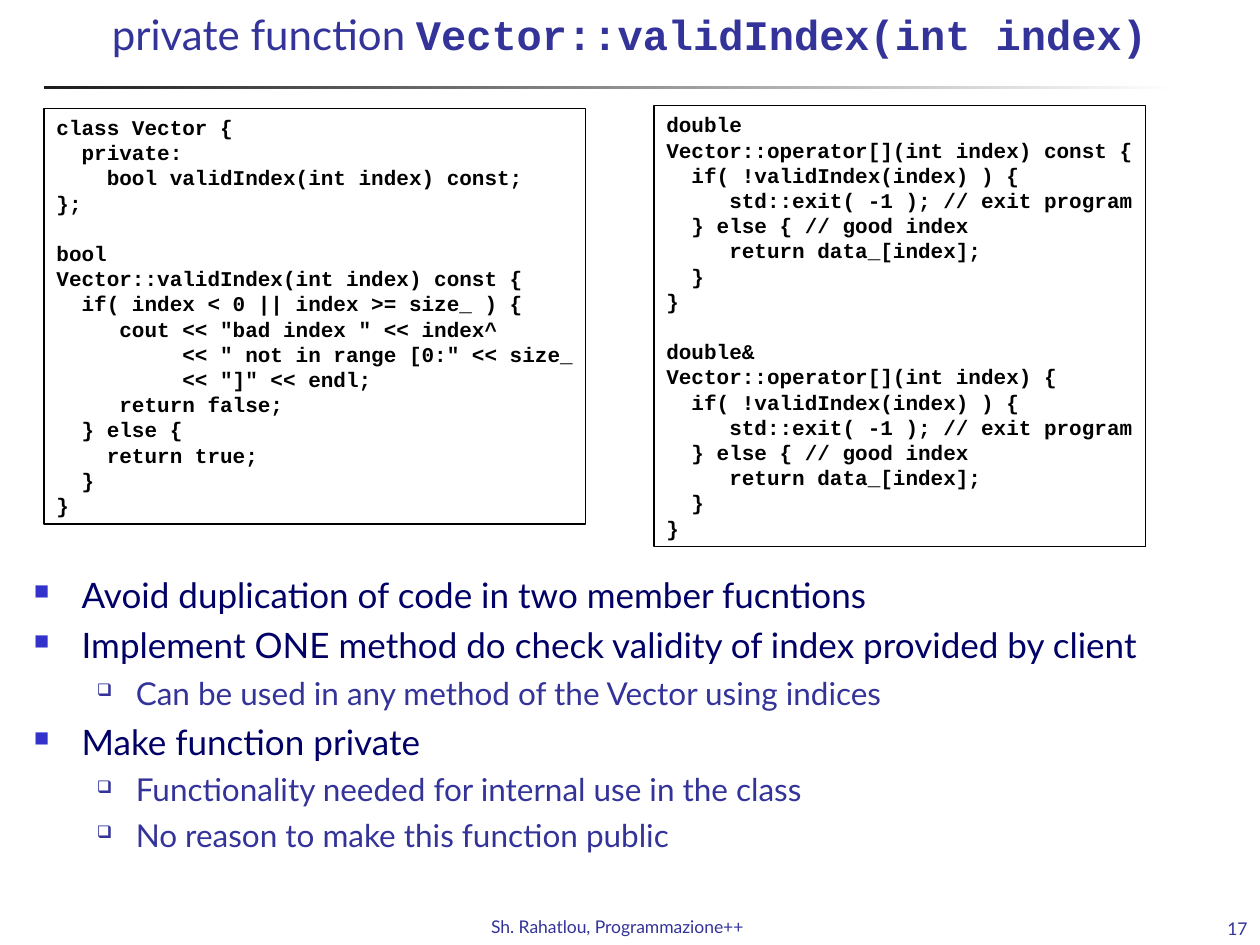
import pptx
import pptx.dml.color
import pptx.enum.shapes
import pptx.enum.text
import pptx.oxml.ns
import pptx.util
from lxml import etree
from pptx.util import Inches

COLORS = {
    "title": "333399",
    "point": "000066",
    "point_bullet": "3333CC",
    "detail": "333399",
    "code": "000000",
    "rule_start": "1C1C1C",
    "rule_end": "FFFFFF",
}
BODY_FONT, CODE_FONT = "Lato", "Courier New"
CODE_LINE, CODE_CHAR = 0.2, 0.1  # height and width of a code character, inches

# Code listings: blocks are set one empty line apart
CLASS_BLOCKS = [
    """class Vector {
  private:
    bool validIndex(int index) const;
};""",
    """bool
Vector::validIndex(int index) const {
  if( index < 0 || index >= size_ ) {
     cout << "bad index " << index^
          << " not in range [0:" << size_
          << "]" << endl;
     return false;
  } else {
    return true;
  }
}""",
]
OPERATOR_BODY = """
  if( !validIndex(index) ) {
     std::exit( -1 ); // exit program
  } else { // good index
     return data_[index];
  }
}"""
OPERATOR_BLOCKS = [
    "double\nVector::operator[](int index) const {" + OPERATOR_BODY,
    "double&\nVector::operator[](int index) {" + OPERATOR_BODY,
]

# Bullet list: (level, text)
POINTS = [
    (0, "Avoid duplication of code in two member fucntions"),
    (0, "Implement ONE method do check validity of index provided by client"),
    (1, "Can be used in any method of the Vector using indices"),
    (0, "Make function private"),
    (1, "Functionality needed for internal use in the class"),
    (1, "No reason to make this function public"),
]
# Per level: text colour, size, space before, margin, hanging, bullet, colour, percent
LEVELS = [
    ("point", 20, 5, 0.38, 0.38, "■", "point_bullet", 60),
    ("detail", 18, 4.5, 0.81, 0.31, "❑", "detail", 55),
]


def rgb(name):
    return pptx.dml.color.RGBColor.from_string(COLORS[name])


def format_run(run, size, color, font=BODY_FONT, bold=False):
    run.font.size = pptx.util.Pt(size)
    run.font.color.rgb = rgb(color)
    run.font.name = font
    run.font.bold = bold


def add_text(slide, box, text, size, align=None, anchor=None, wrap=True):
    frame = slide.shapes.add_textbox(*map(Inches, box)).text_frame
    frame.word_wrap = wrap
    frame.vertical_anchor = anchor
    line = frame.paragraphs[0]
    line.text = text
    line.alignment = align
    format_run(line.runs[0], size, "title")
    return line


def add_title_rule(slide):
    rule = slide.shapes.add_shape(
        pptx.enum.shapes.MSO_SHAPE.RECTANGLE,
        Inches(0.35), Inches(0.68), Inches(9), Inches(0.03))
    rule.shadow.inherit = False
    rule.line.fill.background()
    rule.fill.gradient()
    rule.fill.gradient_angle = 0
    for stop, position, color in zip(
            rule.fill.gradient_stops, (0, 1), ("rule_start", "rule_end")):
        stop.position = position
        stop.color.rgb = rgb(color)


def add_code(slide, left, top, blocks):
    lines = "\n".join(blocks).split("\n")
    row_count = len(lines) + len(blocks) - 1
    width = max(map(len, lines)) * CODE_CHAR + 0.2
    height = row_count * CODE_LINE + 0.1
    listing = slide.shapes.add_shape(
        pptx.enum.shapes.MSO_SHAPE.RECTANGLE,
        Inches(left), Inches(top), Inches(width), Inches(height))
    listing.shadow.inherit = False
    listing.fill.background()
    listing.line.color.rgb = rgb("code")
    listing.line.width = pptx.util.Pt(0.75)

    frame = listing.text_frame
    frame.word_wrap = False
    frame.vertical_anchor = pptx.enum.text.MSO_ANCHOR.TOP
    frame.text = "\n".join(lines)
    block_starts = {len("\n".join(blocks[:i]).split("\n"))
                    for i in range(1, len(blocks))}
    for number, line in enumerate(frame.paragraphs):
        line.alignment = pptx.enum.text.PP_ALIGN.LEFT
        line.line_spacing = Inches(CODE_LINE)
        if number in block_starts:
            line.space_before = Inches(CODE_LINE)
        format_run(line.runs[0], 12, "code", CODE_FONT, True)


def set_bullet(paragraph, margin, hanging, char, color, percent):
    properties = paragraph._p.get_or_add_pPr()
    properties.set("marL", str(Inches(margin)))
    properties.set("indent", str(-Inches(hanging)))

    def add(parent, tag, **attributes):
        return etree.SubElement(parent, pptx.oxml.ns.qn(tag), attributes)

    add(add(properties, "a:buClr"), "a:srgbClr", val=COLORS[color])
    add(properties, "a:buSzPct", val=str(percent * 1000))
    add(properties, "a:buChar", char=char)


def add_points(slide):
    frame = slide.shapes.add_textbox(
        Inches(0.17), Inches(4.5), Inches(9.63), Inches(2.67)).text_frame
    frame.word_wrap = True
    frame.text = "\n".join(text for _, text in POINTS)
    for paragraph, (level, _) in zip(frame.paragraphs, POINTS):
        color, size, before, *bullet = LEVELS[level]
        paragraph.level = level
        paragraph.space_before = pptx.util.Pt(before)
        set_bullet(paragraph, *bullet)
        format_run(paragraph.runs[0], size, color)


def main():
    presentation = pptx.Presentation()
    presentation.slide_width, presentation.slide_height = Inches(10), Inches(7.5)
    slide = presentation.slides.add_slide(presentation.slide_layouts[6])
    align = pptx.enum.text.PP_ALIGN

    # Rule and footer
    add_title_rule(slide)
    add_text(slide, (3.8, 7.22, 2.37, 0.27), "Sh. Rahatlou, Programmazione++",
             10, wrap=False)
    add_text(slide, (8.92, 7.25, 1.08, 0.25), "17", 10, align.RIGHT,
             pptx.enum.text.MSO_ANCHOR.BOTTOM)

    # Title
    title = add_text(slide, (0.58, 0.02, 8.83, 0.67), "private function ",
                     24, align.CENTER)
    signature = title.add_run()
    signature.text = "Vector::validIndex(int index)"
    format_run(signature, 24, "title", CODE_FONT, True)

    # Points and code
    add_points(slide)
    add_code(slide, 0.35, 0.86, CLASS_BLOCKS)
    add_code(slide, 5.19, 0.84, OPERATOR_BLOCKS)

    presentation.save("out.pptx")


if __name__ == "__main__":
    main()
